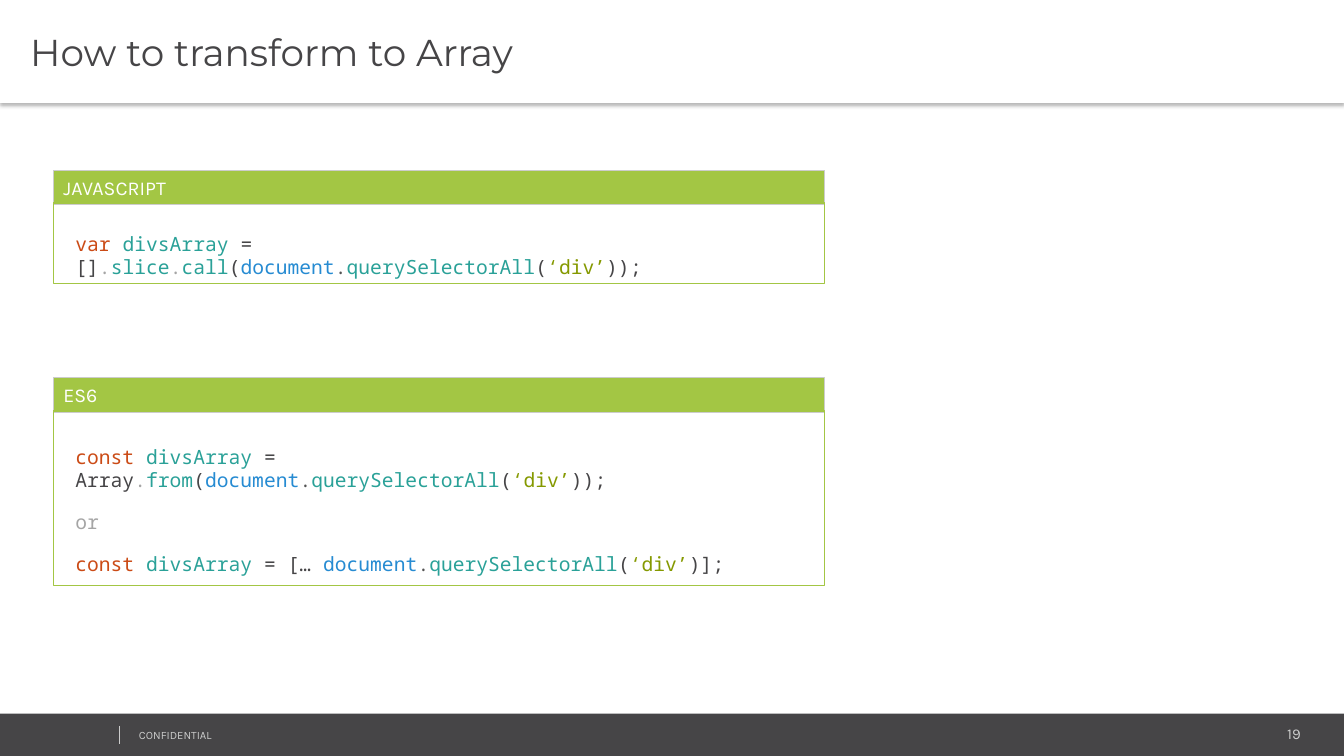
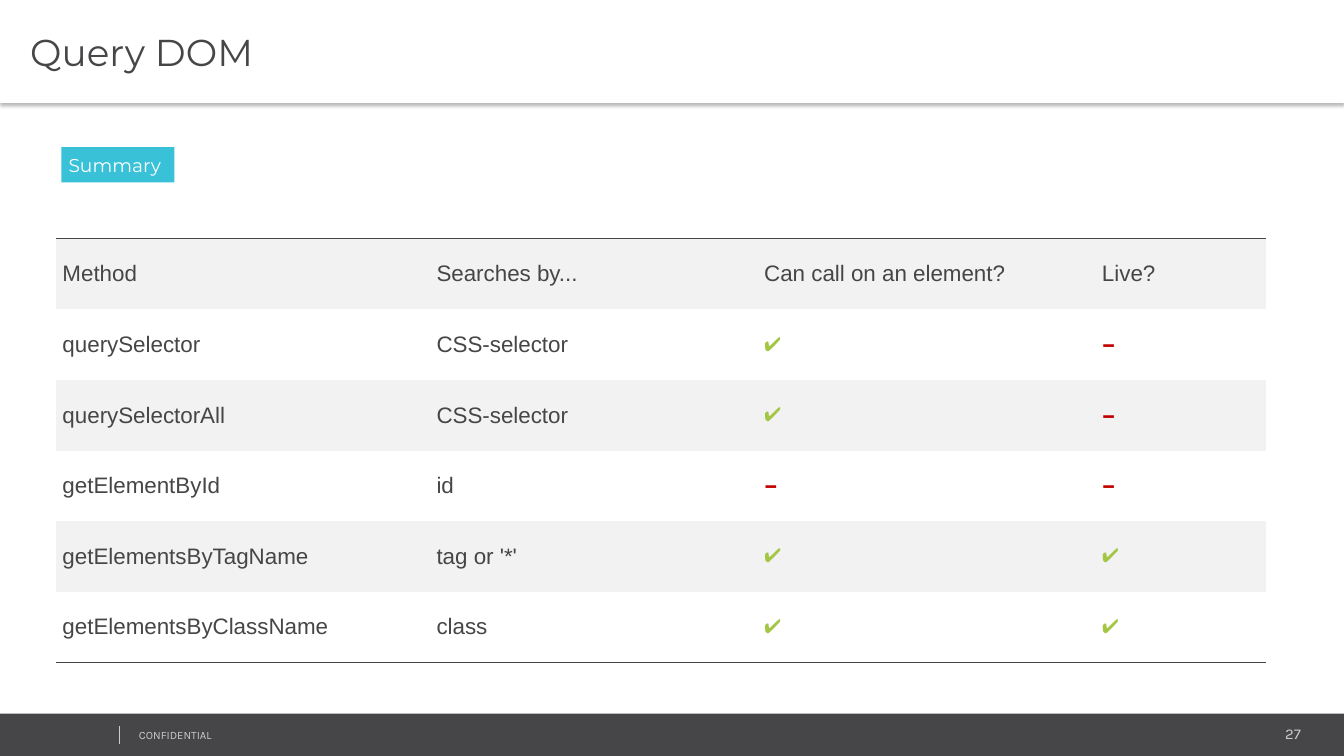
from collections import namedtuple

from lxml import etree
from pptx import Presentation
from pptx.dml.color import RGBColor
from pptx.enum.shapes import MSO_CONNECTOR, MSO_SHAPE
from pptx.enum.text import MSO_ANCHOR, PP_ALIGN
from pptx.oxml.ns import qn
from pptx.util import Inches, Pt

RECTANGLE = MSO_SHAPE.RECTANGLE
STRAIGHT = MSO_CONNECTOR.STRAIGHT
TOP, MIDDLE = MSO_ANCHOR.TOP, MSO_ANCHOR.MIDDLE
LEFT, RIGHT = PP_ALIGN.LEFT, PP_ALIGN.RIGHT

WHITE = RGBColor(0xFF, 0xFF, 0xFF)
BLACK = RGBColor(0x00, 0x00, 0x00)
DARK = RGBColor(0x46, 0x45, 0x47)
SILVER = RGBColor(0xCC, 0xCC, 0xCC)
STRIPE = RGBColor(0xF2, 0xF2, 0xF2)
LIME = RGBColor(0xA3, 0xC6, 0x44)
CYAN = RGBColor(0x39, 0xC2, 0xD7)
RED = RGBColor(0xC0, 0x00, 0x00)

# Code syntax colours
KEYWORD = RGBColor(0xCB, 0x4B, 0x16)
NAME = RGBColor(0x2A, 0xA1, 0x98)
OBJECT = RGBColor(0x26, 0x8B, 0xD2)
STRING = RGBColor(0x85, 0x99, 0x00)
FAINT = RGBColor(0xA5, 0xA5, 0xA5)
DOT = RGBColor(0x53, 0x53, 0x53)

WIDTH, HEIGHT = 13.33, 7.5
Box = namedtuple("Box", "left top width height")
TITLE_BAND = Box(0, 0, WIDTH, 1.02)
FOOTER_BAND = Box(0, 7.08, WIDTH, HEIGHT - 7.08)

# Text styles
TITLE = {"name": "Montserrat", "size": Pt(26.7)}
TAG = {"name": "Montserrat", "size": Pt(13.3)}
PANEL = {"name": "Karla", "size": Pt(14)}
CODE = {"name": "Noto Sans Mono", "size": Pt(14)}
PAGE_NUMBER = {"name": "Karla", "size": Pt(10.7)}
NOTICE = {"name": "Karla", "size": Pt(8)}
CELL = {"name": "Arial", "size": Pt(16)}
CHECK = {"name": "Karla", "size": Pt(14)}
DASH = {"name": "Karla", "size": Pt(28)}

# Left, top, right and bottom insets
PLAIN_INSETS = (0.1, 0.05, 0.1, 0.05)
TITLE_INSETS = (0.3, 0.04, 0.07, 0.04)
TAG_INSETS = (0.07, 0.06, 0.07, 0.06)
CELL_INSETS = (0.06, 0.02, 0.11, 0.02)

QUERY = [("document", OBJECT), (".", DOT), ("querySelectorAll", NAME),
         ("(", DARK), ("‘div’", STRING)]
SLICE_CODE = [
    [("var ", KEYWORD), ("divsArray ", NAME), ("= []", DARK), (".", FAINT),
     ("slice", NAME), (".", FAINT), ("call", NAME), ("(", DARK),
     *QUERY, ("));", DARK)],
]
CONST = [("const ", KEYWORD), ("divsArray ", NAME)]
ES6_CODE = [
    [*CONST, ("= Array", DARK), (".", FAINT), ("from", NAME), ("(", DARK),
     *QUERY, ("));", DARK)],
    [("or", FAINT)],
    [*CONST, ("= [… ", DARK), *QUERY, (")];", DARK)],
]

COLUMNS = (3.71, 3.25, 3.35, 1.69)
METHODS = [
    ("Method", "Searches by...", "Can call on an element?", "Live?"),
    ("querySelector", "CSS-selector", "✔", "-"),
    ("querySelectorAll", "CSS-selector", "✔", "-"),
    ("getElementById", "id", "-", "-"),
    ("getElementsByTagName", "tag or '*'", "✔", "✔"),
    ("getElementsByClassName", "class", "✔", "✔"),
]
MARKS = {"✔": (CHECK, LIME), "-": (DASH, RED)}
PLAIN_TABLE = "{2D5ABB26-0587-4C30-8999-92F81FD0307C}"


def apply(target, values):
    for key, value in values.items():
        setattr(target, key, value)


def inches(box):
    return [Inches(length) for length in box]


def add_color(parent, color):
    return etree.SubElement(parent, qn("a:srgbClr"), val=str(color))


def margins(insets):
    sides = ("left", "top", "right", "bottom")
    return {f"margin_{side}": Inches(inset)
            for side, inset in zip(sides, insets)}


def write(frame, paragraphs, style, align=LEFT, gap=0):
    """Fill a text frame with paragraphs of (text, colour) spans."""
    for number, spans in enumerate(paragraphs):
        para = frame.add_paragraph() if number else frame.paragraphs[0]
        apply(para, {"alignment": align,
                     "space_before": Pt(gap if number else 0)})
        for text, color in spans:
            span = para.add_run()
            span.text = text
            apply(span.font, style)
            span.font.color.rgb = color


def add_rectangle(page, box, fill=None, line=None):
    shape = page.shapes.add_shape(RECTANGLE, *inches(box))
    shape.shadow.inherit = False
    if fill is None:
        shape.fill.background()
    else:
        shape.fill.solid()
        shape.fill.fore_color.rgb = fill
    if line is None:
        shape.line.fill.background()
    else:
        shape.line.color.rgb = line
        shape.line.width = Pt(0.75)
    return shape


def add_label(shape, text, style, color, insets):
    apply(shape.text_frame, {"word_wrap": True, "vertical_anchor": MIDDLE,
                             **margins(insets)})
    write(shape.text_frame, [[(text, color)]], style)


def add_text(page, box, paragraphs, style, **options):
    frame = page.shapes.add_textbox(*inches(box)).text_frame
    apply(frame, {"word_wrap": True, "vertical_anchor": TOP,
                  **margins(PLAIN_INSETS)})
    write(frame, paragraphs, style, **options)


def add_title(page, box, text):
    band = add_rectangle(page, box, WHITE)
    add_label(band, text, TITLE, DARK, TITLE_INSETS)
    # Soft shadow below the band
    effects = band._element.spPr.find(qn("a:effectLst"))
    shadow = etree.SubElement(
        effects, qn("a:outerShdw"), blurRad=str(Pt(3.1)), dist=str(Pt(2)),
        dir=str(90 * 60000), algn="t", rotWithShape="0")
    etree.SubElement(add_color(shadow, BLACK), qn("a:alpha"), val="30000")


def add_footer(page, box, number):
    add_rectangle(page, box, DARK)
    add_text(page, Box(box.left + 10.82, box.top + 0.06, 2.18, 0.28),
             [[(str(number), SILVER)]], PAGE_NUMBER, align=RIGHT)
    add_text(page, Box(box.left + 1.28, box.top + 0.1, 3.38, 0.24),
             [[("CONFIDENTIAL", SILVER)]], NOTICE)
    # Divider before the notice
    x = box.left + 1.19
    divider = page.shapes.add_connector(
        STRAIGHT, *inches((x, box.top + 0.12, x, box.top + 0.3)))
    divider.line.color.rgb = SILVER
    divider.line.width = Pt(0.75)
    etree.SubElement(divider._element.spPr, qn("a:effectLst"))


def add_code_panel(page, box, heading, code, code_drop):
    bar = add_rectangle(page, box._replace(height=0.34), LIME, SILVER)
    add_label(bar, heading, PANEL, WHITE, PLAIN_INSETS)
    add_rectangle(page, box._replace(top=box.top + 0.32,
                                     height=box.height - 0.32), line=LIME)
    code_box = Box(box.left + 0.12, box.top + code_drop,
                   box.width - 0.12, box.height - code_drop)
    add_text(page, code_box, code, CODE, gap=13.3)


def add_border(cell, side):
    line = etree.SubElement(cell._tc.get_or_add_tcPr(), qn(f"a:{side}"),
                            w=str(Pt(1)))
    add_color(etree.SubElement(line, qn("a:solidFill")), DARK)


def add_method_table(page, box, rows):
    table = page.shapes.add_table(len(rows), len(COLUMNS),
                                  *inches(box)).table
    apply(table, {"first_row": False, "horz_banding": False})
    table._tbl.tblPr.find(qn("a:tableStyleId")).text = PLAIN_TABLE
    for column, width in zip(table.columns, COLUMNS):
        column.width = Inches(width)
    for row_number, texts in enumerate(rows):
        table.rows[row_number].height = Inches(box.height / len(rows))
        for column_number, text in enumerate(texts):
            cell = table.cell(row_number, column_number)
            apply(cell, {"vertical_anchor": MIDDLE, **margins(CELL_INSETS)})
            style, color = MARKS.get(text, (CELL, DARK))
            write(cell.text_frame, [[(text, color)]], style)
            # Rules above the first row and below the last
            if row_number == 0:
                add_border(cell, "lnT")
            if row_number == len(rows) - 1:
                add_border(cell, "lnB")
            if row_number % 2:
                cell.fill.background()
            else:
                cell.fill.solid()
                cell.fill.fore_color.rgb = STRIPE


def add_page(deck, title, number):
    page = deck.slides.add_slide(deck.slide_layouts[6])
    add_footer(page, FOOTER_BAND, number)
    add_title(page, TITLE_BAND, title)
    return page


def add_transform_page(deck):
    page = add_page(deck, "How to transform to Array", 19)
    add_code_panel(page, Box(0.53, 1.69, 7.65, 1.12),
                   "JAVASCRIPT", SLICE_CODE, 0.56)
    add_code_panel(page, Box(0.53, 3.75, 7.65, 2.06),
                   "ES6", ES6_CODE, 0.61)


def add_query_page(deck):
    page = add_page(deck, "Query DOM", 27)
    tag = add_rectangle(page, Box(0.61, 1.46, 1.12, 0.35), CYAN)
    add_label(tag, "Summary", TAG, WHITE, TAG_INSETS)
    add_method_table(page, Box(0.56, 2.37, sum(COLUMNS), 4.2), METHODS)


def main():
    deck = Presentation()
    apply(deck, {"slide_width": Inches(WIDTH),
                 "slide_height": Inches(HEIGHT)})
    add_transform_page(deck)
    add_query_page(deck)
    deck.save("out.pptx")


if __name__ == "__main__":
    main()
